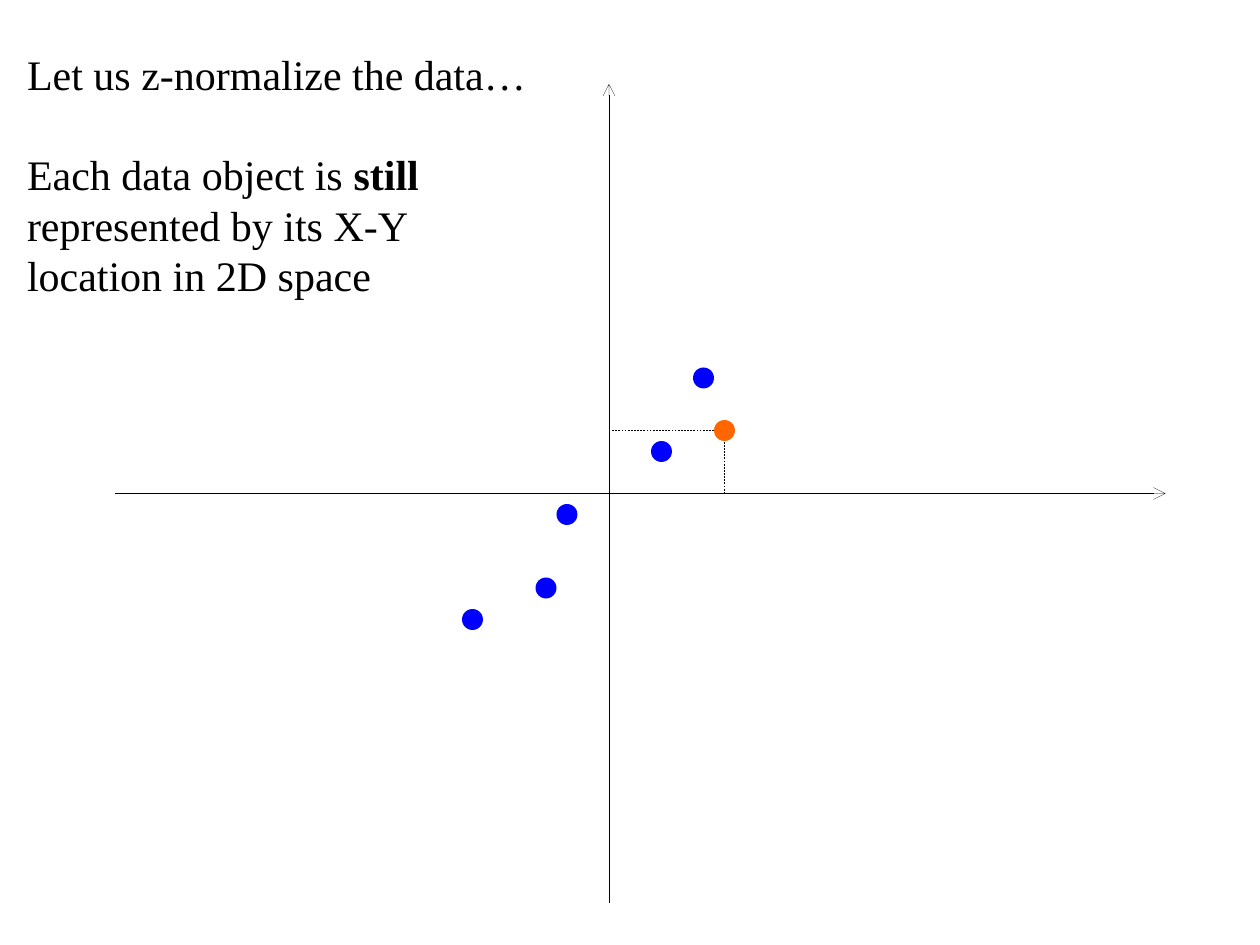
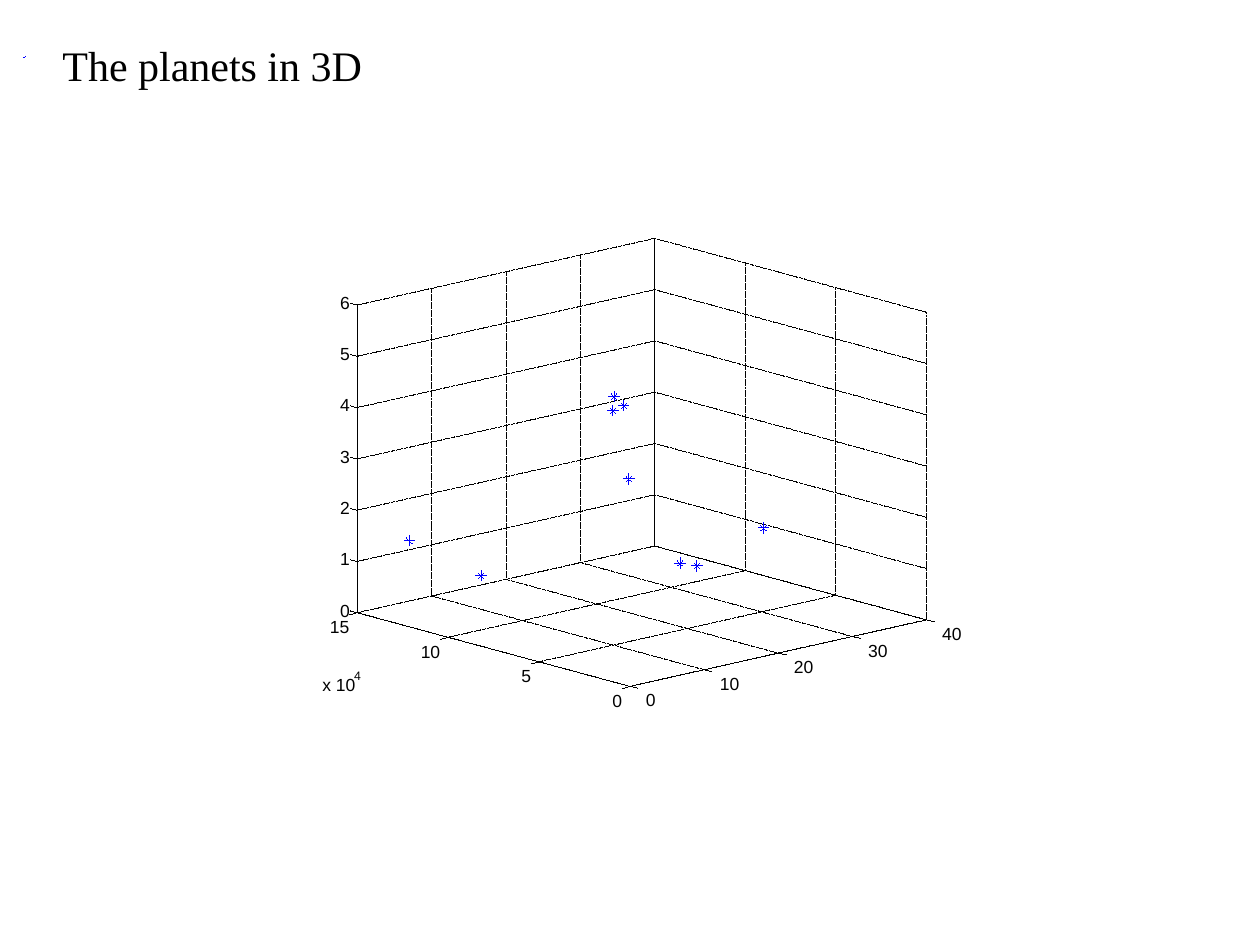
from pptx import Presentation
from pptx.dml.color import RGBColor
from pptx.enum.dml import MSO_LINE
from pptx.enum.shapes import MSO_CONNECTOR, MSO_SHAPE
from pptx.enum.text import MSO_AUTO_SIZE, PP_ALIGN
from pptx.oxml.ns import qn
from pptx.util import Pt
from lxml.etree import SubElement

BLACK, BLUE, ORANGE = "000000", "0000FF", "FF6600"
SERIF, SANS = "Times New Roman", "Arial"
LINE_HEIGHT = 28.8

NORMALIZE_TEXT = [
    [("Let us z-normalize the data…", False)],
    [("Each data object is ", False), ("still", True),
     (" represented by its X-Y location in 2D space", False)],
]
PLANETS_TEXT = [[("The planets in 3D", False)]]

ORIGIN, UNIT, DOT = (348, 282), 6, 12
DATA_POINTS = [(5, 4), (-4, -2), (-6, -9), (-13, -12), (9, 11)]
MARKED_POINT = (11, 6)

FRONT, RIGHT = (360, 392.2), (529.4, 354.2)
LEFT, BACK = (204.1, 350.1), (374.2, 312)
CUBE_HEIGHT = 175.8
X_TICKS = ["0", "10", "20", "30", "40"]
Y_TICKS = ["0", "5", "10", "15"]
Z_TICKS = ["0", "1", "2", "3", "4", "5", "6"]
PLANETS = [(436.3, 301.7), (398.2, 323.3), (388.6, 321.8), (359.3, 273.6),
           (356.4, 231.8), (351, 226.6), (350.2, 234.7), (275, 329)]
LAST_PLANET = (234, 308.9)
PLUS_ARMS = [(3, 0), (0, 3)]
DIAGONALS = [(1.5, 1.5), (-1.5, 1.5)]


def color(value):
    return RGBColor.from_string(value)


def set_stroke(sp, ink, width=0, dash=None):
    sp.line.color.rgb = color(ink)
    if dash:
        sp.line.dash_style = dash
    ln = sp._element.spPr.find(qn("a:ln"))
    ln.set("w", str(int(Pt(width))))
    return ln


def add_line(slide, start, end, ink=BLACK, width=0, dash=None, arrow=False):
    sp = slide.shapes.add_connector(
        MSO_CONNECTOR.STRAIGHT, *(Pt(v) for v in (*start, *end)))
    ln = set_stroke(sp, ink, width, dash)
    if arrow:
        SubElement(ln, qn("a:tailEnd"), type="arrow")
    SubElement(sp._element.spPr, qn("a:effectLst"))


def add_polyline(slide, points):
    start, *rest = [(Pt(x), Pt(y)) for x, y in points]
    builder = slide.shapes.build_freeform(*start)
    builder.add_line_segments(rest, close=False)
    sp = builder.convert_to_shape()
    sp.shadow.inherit = False
    sp.fill.background()
    set_stroke(sp, BLACK, dash=MSO_LINE.ROUND_DOT)


def add_dot(slide, center, fill):
    x, y = center
    sp = slide.shapes.add_shape(
        MSO_SHAPE.OVAL, Pt(x - DOT / 2), Pt(y - DOT / 2), Pt(DOT), Pt(DOT))
    sp.shadow.inherit = False
    sp.fill.solid()
    sp.fill.fore_color.rgb = color(fill)
    sp.line.fill.background()


def add_run(p, text, font, size, bold=False):
    r = p.add_run()
    r.text = text
    r.font.name = font
    r.font.size = Pt(size)
    r.font.bold = bold
    r.font.color.rgb = color(BLACK)


def add_text(slide, box, paragraphs, wrap):
    tf = slide.shapes.add_textbox(*(Pt(v) for v in box)).text_frame
    tf.word_wrap = wrap
    tf.auto_size = MSO_AUTO_SIZE.SHAPE_TO_FIT_TEXT
    for i, runs in enumerate(paragraphs):
        p = tf.add_paragraph() if i else tf.paragraphs[0]
        p.line_spacing = Pt(LINE_HEIGHT)
        p.space_before = Pt(LINE_HEIGHT if i else 0)
        for text, bold in runs:
            add_run(p, text, SERIF, 24, bold)


def add_label(slide, text, x, y, width, size=10):
    tf = slide.shapes.add_textbox(
        Pt(x), Pt(y), Pt(width), Pt(size * 1.2)).text_frame
    tf.margin_left = tf.margin_right = tf.margin_top = tf.margin_bottom = 0
    tf.word_wrap = False
    tf.auto_size = MSO_AUTO_SIZE.SHAPE_TO_FIT_TEXT
    p = tf.paragraphs[0]
    p.alignment = PP_ALIGN.CENTER
    add_run(p, text, SANS, size)


def divide(start, end, ticks):
    last = len(ticks) - 1
    return [tuple(a + (b - a) * i / last for a, b in zip(start, end))
            for i in range(last + 1)]


def raised(point, rise=CUBE_HEIGHT):
    return point[0], point[1] - rise


def add_axis(slide, start, end, ticks, tick, gap, drop):
    add_line(slide, start, end)
    for text, (x, y) in zip(ticks, divide(start, end, ticks)):
        add_line(slide, (x, y), (x + tick[0], y + tick[1]))
        width = 5.56 * len(text)
        left = x + gap if gap > 0 else x + gap - width
        add_label(slide, text, left, y + drop, width)


def add_marker(slide, center, arms):
    x, y = center
    for dx, dy in arms:
        add_line(slide, (x - dx, y - dy), (x + dx, y + dy), BLUE)


def plot_position(point):
    return ORIGIN[0] + point[0] * UNIT, ORIGIN[1] - point[1] * UNIT


def build_normalized(slide):
    ox, oy = ORIGIN
    add_line(slide, (ox, 516), (ox, 48), arrow=True)
    add_line(slide, (66, oy), (666, oy), arrow=True)
    for point in DATA_POINTS:
        add_dot(slide, plot_position(point), BLUE)
    add_text(slide, (8.4, 24, 308, 180), NORMALIZE_TEXT, True)
    x, y = plot_position(MARKED_POINT)
    add_line(slide, (x, y - DOT / 2), (x, oy), width=0.25, dash=MSO_LINE.DASH)
    add_line(slide, (x - DOT / 2, y), (ox + 1.2, y), width=0.25, dash=MSO_LINE.DASH)
    add_dot(slide, (x, y), ORANGE)


def build_planets(slide):
    add_text(slide, (28.6, 19, 185.8, 36), PLANETS_TEXT, False)
    for start, end, wall_start, wall_end, ticks in (
            (FRONT, RIGHT, LEFT, BACK, X_TICKS),
            (FRONT, LEFT, RIGHT, BACK, Y_TICKS)):
        for near, far in zip(divide(start, end, ticks),
                             divide(wall_start, wall_end, ticks)):
            add_polyline(slide, [near, far, raised(far)])
    for i in range(len(Z_TICKS)):
        rise = CUBE_HEIGHT * i / (len(Z_TICKS) - 1)
        add_polyline(slide, [raised(p, rise) for p in (LEFT, BACK, RIGHT)])

    add_axis(slide, FRONT, RIGHT, X_TICKS, (4.5, 1), 9, 1.8)
    add_axis(slide, FRONT, LEFT, Y_TICKS, (-4.3, 1.2), -4.5, 2)
    add_axis(slide, LEFT, raised(LEFT), Z_TICKS, (-4, -1), -4.2, -7.5)
    add_label(slide, "x 10", 181.6, 385.4, 24)
    add_label(slide, "4", 202.3, 381.6, 3.9, 7)

    for planet in PLANETS:
        add_marker(slide, planet, PLUS_ARMS + DIAGONALS)
    add_marker(slide, LAST_PLANET, PLUS_ARMS + DIAGONALS[:1])
    add_line(slide, (14.4, 32.4), (13.7, 33.1), BLUE)


def main():
    prs = Presentation()
    prs.slide_width, prs.slide_height = Pt(720), Pt(540)
    for build in (build_normalized, build_planets):
        build(prs.slides.add_slide(prs.slide_layouts[6]))
    prs.save("out.pptx")


if __name__ == "__main__":
    main()
